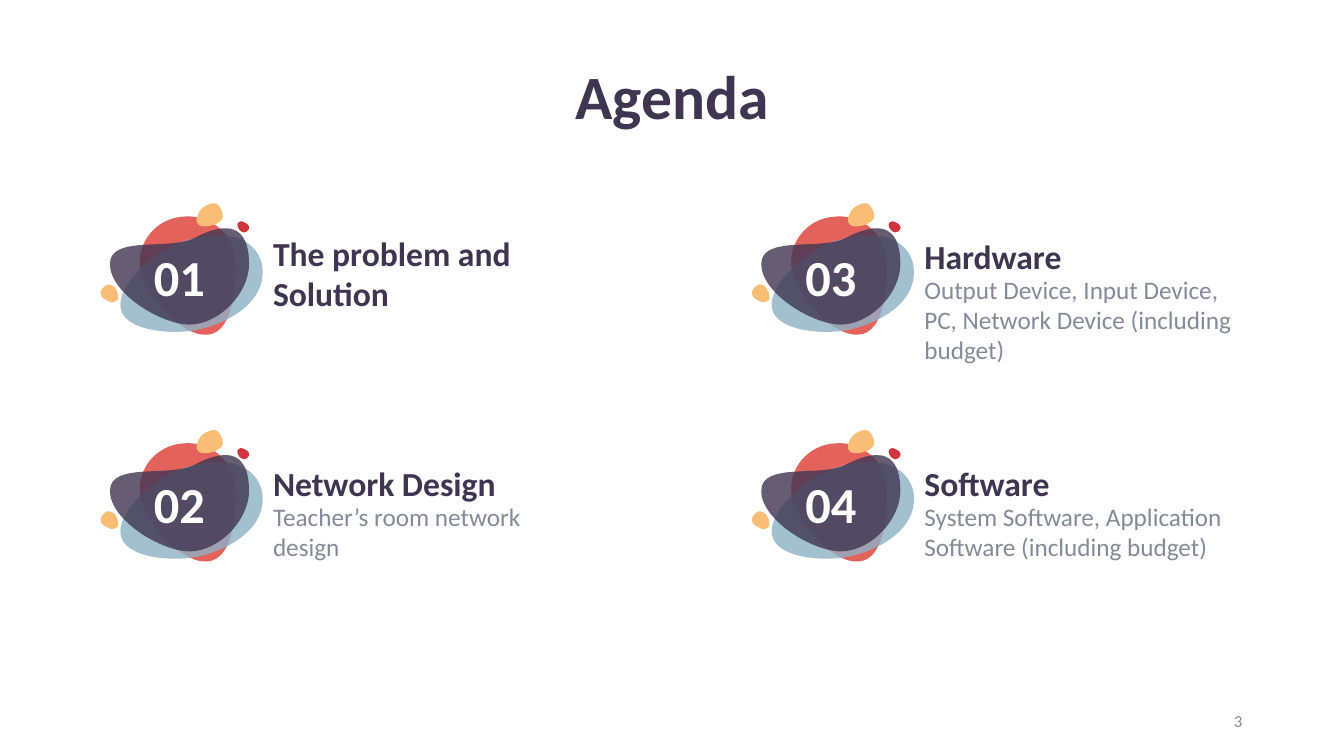
import pptx
import pptx.dml.color
import pptx.enum.text
import pptx.oxml
import pptx.oxml.ns
import pptx.util

Inches = pptx.util.Inches
ALIGN = pptx.enum.text.PP_ALIGN
ANCHOR = pptx.enum.text.MSO_ANCHOR

FONT = "Calibri"
PURPLE, GREY, WHITE = "403551", "848B98", "FFFFFF"
RED, BLUE, ORANGE, CRIMSON = "E4625C", "8DB1C4", "F9BE75", "D0343C"

BACK_BLOBS = [
    (RED, 100, (0.39, 0.65), [
        (0.41, 0.9, 0.8, 1.35, 1.06, 1.32), (1.32, 1.3, 1.35, 0.81, 1.33, 0.56),
        (1.3, 0.3, 1.07, 0.12, 0.81, 0.15), (0.55, 0.17, 0.36, 0.4, 0.39, 0.65)]),
    (BLUE, 80, (0.21, 1.1), [
        (0.29, 1.27, 0.64, 1.32, 0.92, 1.28), (1.21, 1.23, 1.66, 1.02, 1.6, 0.63),
        (1.57, 0.48, 1.41, 0.22, 0.83, 0.39), (0.5, 0.49, 0.11, 0.88, 0.21, 1.1)]),
]
NUMBER_BLOB = (PURPLE, 80, (0.09, 0.62), [
    (0.09, 0.91, 0.6, 1.22, 0.88, 1.22), (1.17, 1.22, 1.47, 0.91, 1.47, 0.62),
    (1.47, 0.33, 1.35, 0.14, 0.93, 0.36), (0.68, 0.49, 0.09, 0.33, 0.09, 0.62)])
DROPS = [
    (ORANGE, 100, (0.97, 0.23), [
        (1, 0.26, 1.13, 0.25, 1.19, 0.19), (1.24, 0.14, 1.19, 0.06, 1.16, 0.03),
        (1.13, 0, 1.06, 0.02, 1, 0.07), (0.95, 0.13, 0.93, 0.2, 0.97, 0.23)]),
    (ORANGE, 100, (0.17, 0.97), [
        (0.18, 0.94, 0.16, 0.85, 0.11, 0.83), (0.06, 0.8, 0.02, 0.85, 0, 0.89),
        (-0.01, 0.92, 0.01, 0.96, 0.06, 0.98), (0.1, 1.01, 0.15, 1, 0.17, 0.97)]),
    (CRIMSON, 100, (1.36, 0.21), [
        (1.34, 0.23, 1.37, 0.29, 1.4, 0.3), (1.43, 0.32, 1.46, 0.29, 1.47, 0.27),
        (1.48, 0.25, 1.46, 0.22, 1.43, 0.21), (1.4, 0.19, 1.37, 0.19, 1.36, 0.21)]),
]

AGENDA = [
    ("01", "The problem and Solution", ""),
    ("02", "Network Design", "Teacher’s room network design"),
    ("03", "Hardware", "Output Device, Input Device, PC, Network Device (including budget)"),
    ("04", "Software", "System Software, Application Software (including budget)"),
]


def color(value):
    """Return the colour for a hex string."""
    return pptx.dml.color.RGBColor.from_string(value)


def write(holder, text, size=18, fill=GREY, bold=False, align=ALIGN.LEFT,
          anchor=ANCHOR.TOP, insets=(0.1, 0.05, 0.1, 0.05), spacing=1.0):
    """Put formatted text into a shape, box or placeholder."""
    frame = holder.text_frame
    frame.word_wrap = True
    frame.auto_size = pptx.enum.text.MSO_AUTO_SIZE.NONE
    frame.vertical_anchor = anchor
    (frame.margin_left, frame.margin_top,
     frame.margin_right, frame.margin_bottom) = map(Inches, insets)
    paragraph = frame.paragraphs[0]
    paragraph.alignment = align
    paragraph.line_spacing = spacing
    run = paragraph.add_run()
    run.text = text
    run.font.name = FONT
    run.font.size = pptx.util.Pt(size)
    run.font.bold = bold
    run.font.color.rgb = color(fill)


def add_text(shapes, left, top, width, height, text, **style):
    """Add a text box with formatted text."""
    box = shapes.add_textbox(Inches(left), Inches(top), Inches(width), Inches(height))
    write(box, text, **style)


def curve_points(start, curves, steps=8):
    """Return points along a chain of cubic curves."""
    points = []
    for x1, y1, x2, y2, x3, y3 in curves:
        for step in range(1, steps + 1):
            t = step / steps
            weights = ((1 - t) ** 3, 3 * t * (1 - t) ** 2, 3 * t * t * (1 - t), t ** 3)
            xs, ys = (start[0], x1, x2, x3), (start[1], y1, y2, y3)
            points.append((sum(w * x for w, x in zip(weights, xs)),
                           sum(w * y for w, y in zip(weights, ys))))
        start = (x3, y3)
    return points


def smooth_outline(blob, left, top, curves):
    """Replace the straight segments of an outline with cubic curves."""
    qn, namespace = pptx.oxml.ns.qn, pptx.oxml.ns.nsdecls("a")
    outline = blob._element.find(".//" + qn("a:path"))
    for segment in outline.findall(qn("a:lnTo")):
        outline.remove(segment)
    closing = outline.find(qn("a:close"))
    for curve in curves:
        points = "".join(
            f'<a:pt x="{Inches(left + x) - blob.left}" y="{Inches(top + y) - blob.top}"/>'
            for x, y in zip(curve[::2], curve[1::2]))
        closing.addprevious(pptx.oxml.parse_xml(
            f"<a:cubicBezTo {namespace}>{points}</a:cubicBezTo>"))


def add_blob(shapes, left, top, fill, opacity, start, curves):
    """Add one smooth closed outline relative to a corner."""
    points = [(Inches(left + x), Inches(top + y)) for x, y in curve_points(start, curves)]
    builder = shapes.build_freeform(*points[-1])
    builder.add_line_segments(points[:-1], close=True)
    blob = builder.convert_to_shape()
    smooth_outline(blob, left, top, curves)
    blob.shadow.inherit = False
    blob.line.fill.background()
    blob.fill.solid()
    blob.fill.fore_color.rgb = color(fill)
    if opacity < 100:
        tint = blob._element.spPr.find(".//" + pptx.oxml.ns.qn("a:srgbClr"))
        tint.append(pptx.oxml.parse_xml(
            f'<a:alpha {pptx.oxml.ns.nsdecls("a")} val="{opacity * 1000}"/>'))
    return blob


def add_badge(slide, left, top, number):
    """Draw the layered blobs that carry an agenda number."""
    shapes = slide.shapes.add_group_shape().shapes
    for blob in BACK_BLOBS:
        add_blob(shapes, left, top, *blob)
    plate = add_blob(shapes, left, top, *NUMBER_BLOB)
    write(plate, number, size=36, fill=WHITE, bold=True, align=ALIGN.CENTER,
          anchor=ANCHOR.MIDDLE, insets=(0.04,) * 4)
    for drop in DROPS:
        add_blob(shapes, left, top, *drop)


def add_agenda_item(slide, left, top, number, heading, detail):
    """Place a badge with its heading and optional detail."""
    add_badge(slide, left, top, number)
    text_left, text_width = left + 1.61, 3.26
    offset, height = (0.13, 0.61) if detail else (0.1, 1.01)
    add_text(slide.shapes, text_left, top + offset, text_width, height, heading,
             size=24, fill=PURPLE, bold=True, anchor=ANCHOR.BOTTOM,
             insets=(0.1, 0.2, 0.1, 0))
    if detail:
        add_text(slide.shapes, text_left, top + 0.72, text_width, 0.91, detail,
                 insets=(0.1, 0, 0.1, 0))


def add_title(slide, left, top, width, height, text):
    """Move and fill the title placeholder."""
    title = slide.shapes.title
    title.left, title.top = Inches(left), Inches(top)
    title.width, title.height = Inches(width), Inches(height)
    write(title, text, size=44, fill=PURPLE, bold=True, align=ALIGN.CENTER,
          anchor=ANCHOR.MIDDLE, spacing=0.9)


def main():
    """Build the agenda slide and save it."""
    deck = pptx.Presentation()
    deck.slide_width, deck.slide_height = Inches(13.33), Inches(7.5)
    slide = deck.slides.add_slide(deck.slide_layouts[5])
    add_title(slide, 0.92, 0.37, 11.5, 1.24, "Agenda")
    for index, item in enumerate(AGENDA):
        column, row = divmod(index, 2)
        add_agenda_item(slide, 1 + 6.46 * column, 2 + 2.25 * row, *item)
    add_text(slide.shapes, 9.42, 6.95, 3, 0.4, "3", size=12,
             align=ALIGN.RIGHT, anchor=ANCHOR.MIDDLE)
    deck.save("out.pptx")


if __name__ == "__main__":
    main()
